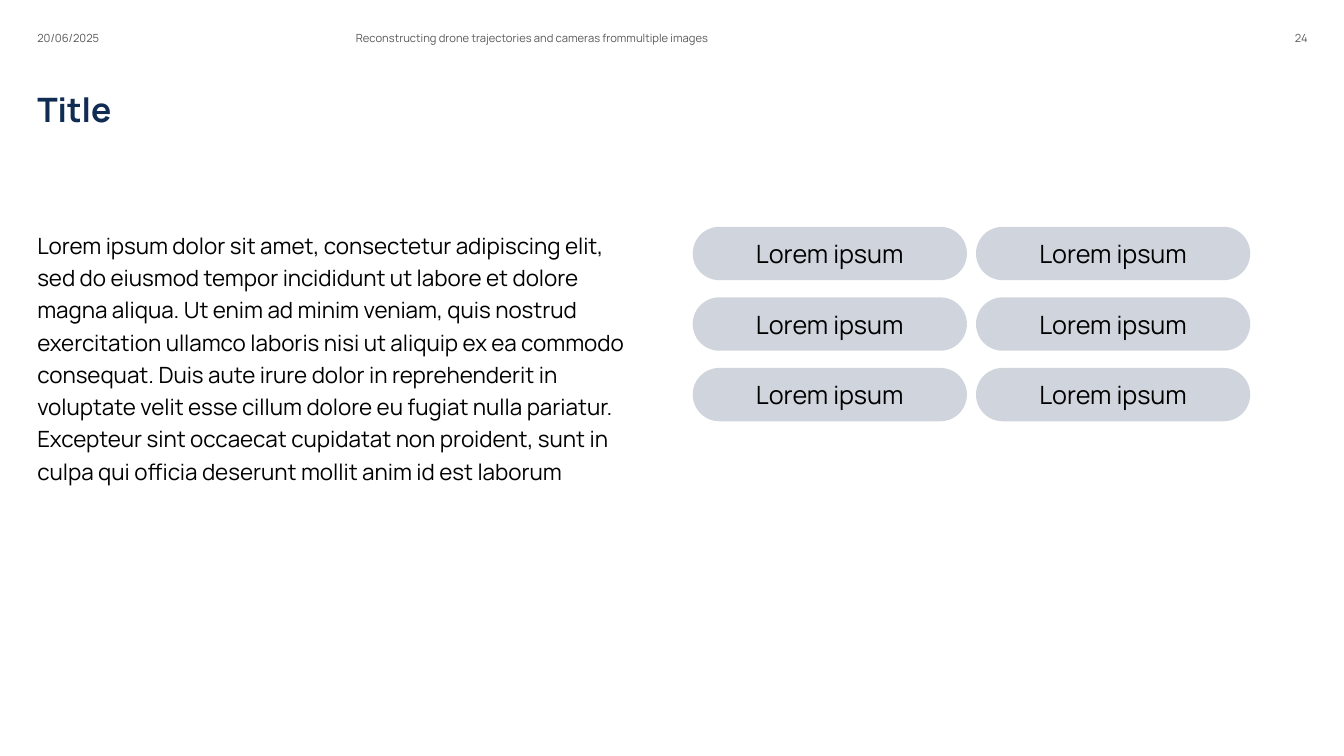
from itertools import product
from pptx import Presentation
from pptx.dml.color import RGBColor
from pptx.enum.shapes import MSO_SHAPE
from pptx.enum.text import MSO_ANCHOR, PP_ALIGN
from pptx.util import Inches, Pt

COLORS = {"navy": "102C53", "grey": "595959", "black": "000000", "pill": "D0D5DD"}

TITLE = "Title"
BODY = (
    "Lorem ipsum dolor sit amet, consectetur adipiscing elit, sed do eiusmod tempor "
    "incididunt ut labore et dolore magna aliqua. Ut enim ad minim veniam, quis nostrud "
    "exercitation ullamco laboris nisi ut aliquip ex ea commodo consequat. Duis aute irure "
    "dolor in reprehenderit in voluptate velit esse cillum dolore eu fugiat nulla pariatur. "
    "Excepteur sint occaecat cupidatat non proident, sunt in culpa qui officia deserunt "
    "mollit anim id est laborum"
)
HEADER = [
    ("20/06/2025", 0.37, 2.61, PP_ALIGN.LEFT),
    ("Reconstructing drone trajectories and cameras frommultiple images", 3.53, 4.5, PP_ALIGN.LEFT),
    ("24", 11.83, 1.14, PP_ALIGN.RIGHT),
]
PILLS = [["Lorem ipsum"] * 2 for _ in range(3)]

MARGIN = 0.37
CONTENT_TOP = 2.25
PILL_LEFT, PILL_WIDTH, PILL_HEIGHT = 6.87, 2.72, 0.53
COLUMN_STEP, ROW_STEP = 2.81, 0.7


def write(holder, text, size, color, align=PP_ALIGN.LEFT, anchor=MSO_ANCHOR.TOP, bold=False, spacing=1.0):
    frame = holder.text_frame
    paragraph = frame.paragraphs[0]
    paragraph.text = text
    formats = [
        (frame, {"word_wrap": True, "vertical_anchor": anchor}),
        (paragraph, {"alignment": align, "line_spacing": spacing}),
        (paragraph.runs[0].font, {"name": "Manrope", "size": Pt(size), "bold": bold}),
    ]
    for target, values in formats:
        for attribute, value in values.items():
            setattr(target, attribute, value)
    paragraph.runs[0].font.color.rgb = RGBColor.from_string(COLORS[color])


def add_text(slide, box, text, size, color, **options):
    holder = slide.shapes.add_textbox(*map(Inches, box))
    for side in ("left", "top", "right", "bottom"):
        setattr(holder.text_frame, f"margin_{side}", 0)
    write(holder, text, size, color, **options)


def add_pill(slide, row, column, label):
    pill = slide.shapes.add_shape(
        MSO_SHAPE.ROUNDED_RECTANGLE,
        Inches(PILL_LEFT + column * COLUMN_STEP),
        Inches(CONTENT_TOP + row * ROW_STEP),
        Inches(PILL_WIDTH),
        Inches(PILL_HEIGHT),
    )
    pill.adjustments[0] = 0.5
    pill.shadow.inherit = False
    pill.fill.solid()
    pill.fill.fore_color.rgb = RGBColor.from_string(COLORS["pill"])
    pill.line.fill.background()
    write(pill, label, 18, "black", align=PP_ALIGN.CENTER, anchor=MSO_ANCHOR.MIDDLE)


def main():
    deck = Presentation()
    deck.slide_width, deck.slide_height = Inches(13.33), Inches(7.5)
    slide = deck.slides.add_slide(deck.slide_layouts[6])

    add_text(slide, (MARGIN, 0.88, 12.6, 0.92), TITLE, 24, "navy", bold=True)
    for text, left, width, align in HEADER:
        add_text(slide, (left, 0.04, width, 0.4), text, 8, "grey", align=align, anchor=MSO_ANCHOR.BOTTOM)
    add_text(slide, (MARGIN, CONTENT_TOP, 5.83, 4.84), BODY, 16, "black", spacing=1.2)
    for row, column in product(range(len(PILLS)), range(len(PILLS[0]))):
        add_pill(slide, row, column, PILLS[row][column])

    deck.save("out.pptx")


if __name__ == "__main__":
    main()
